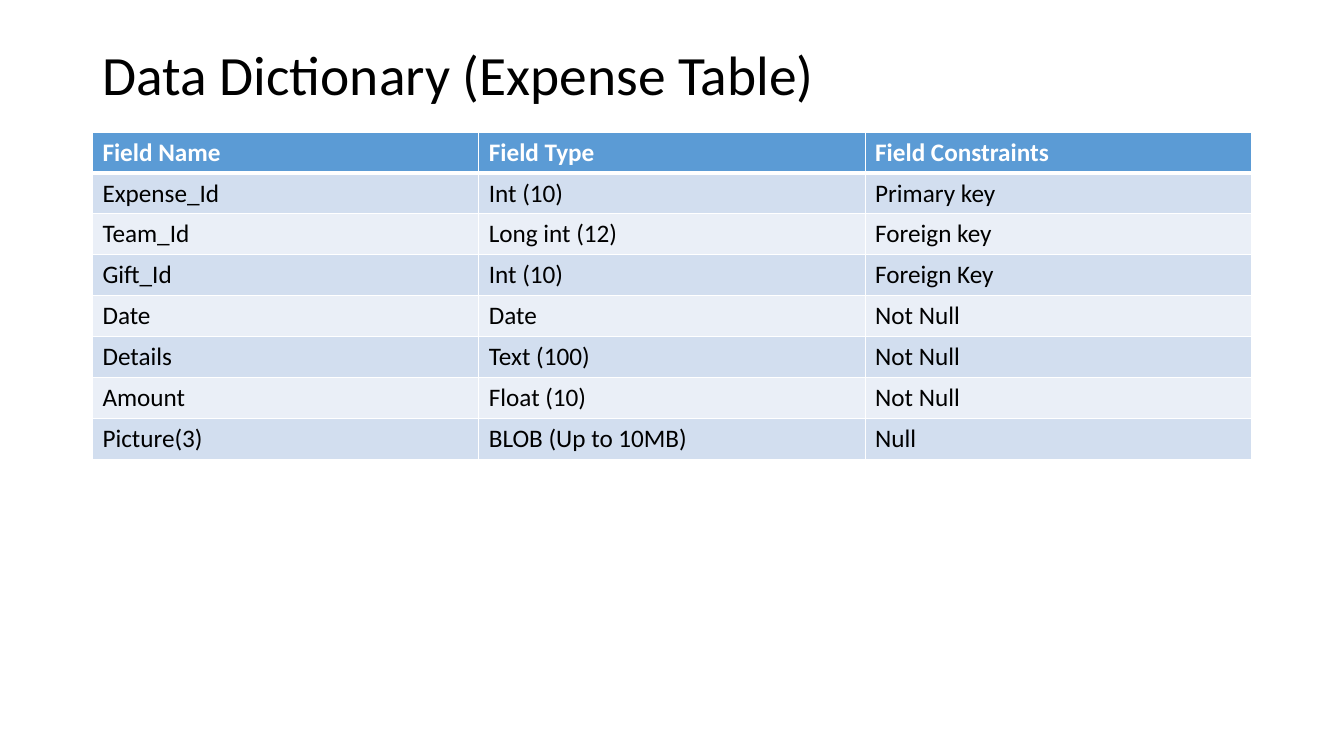
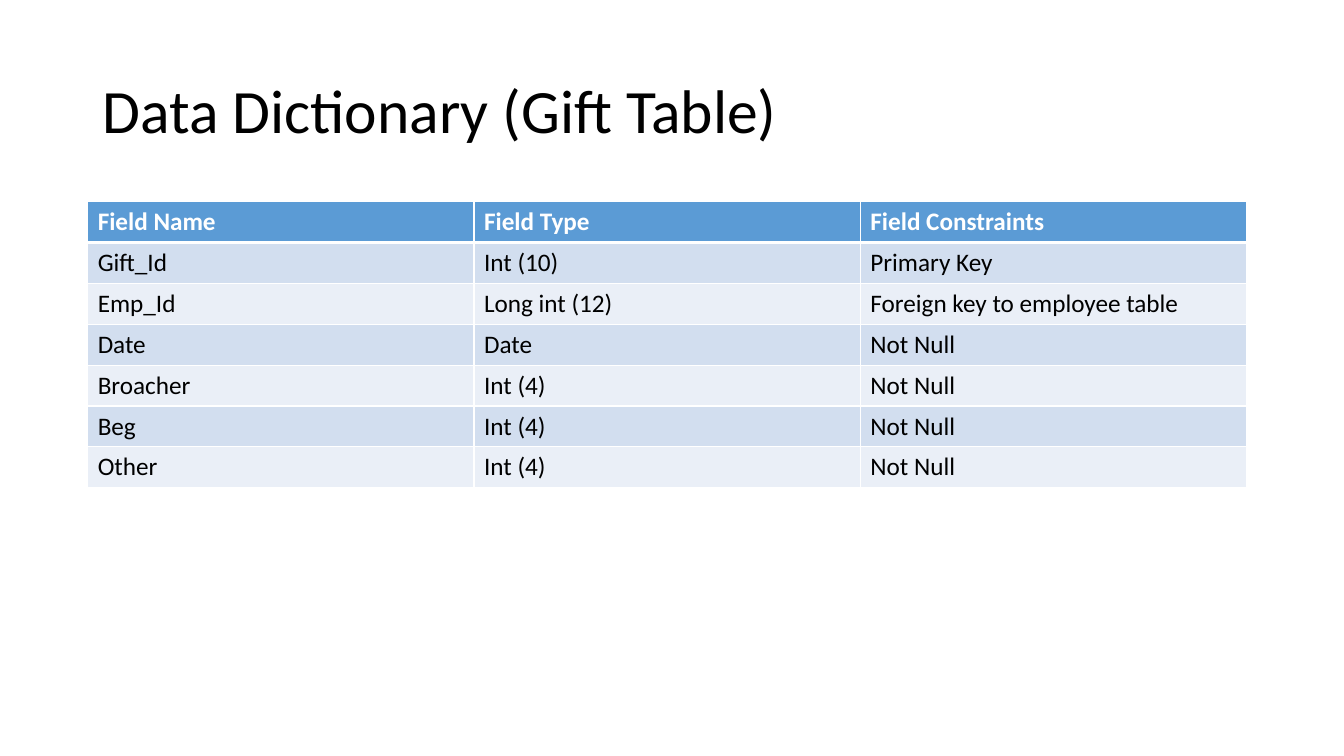
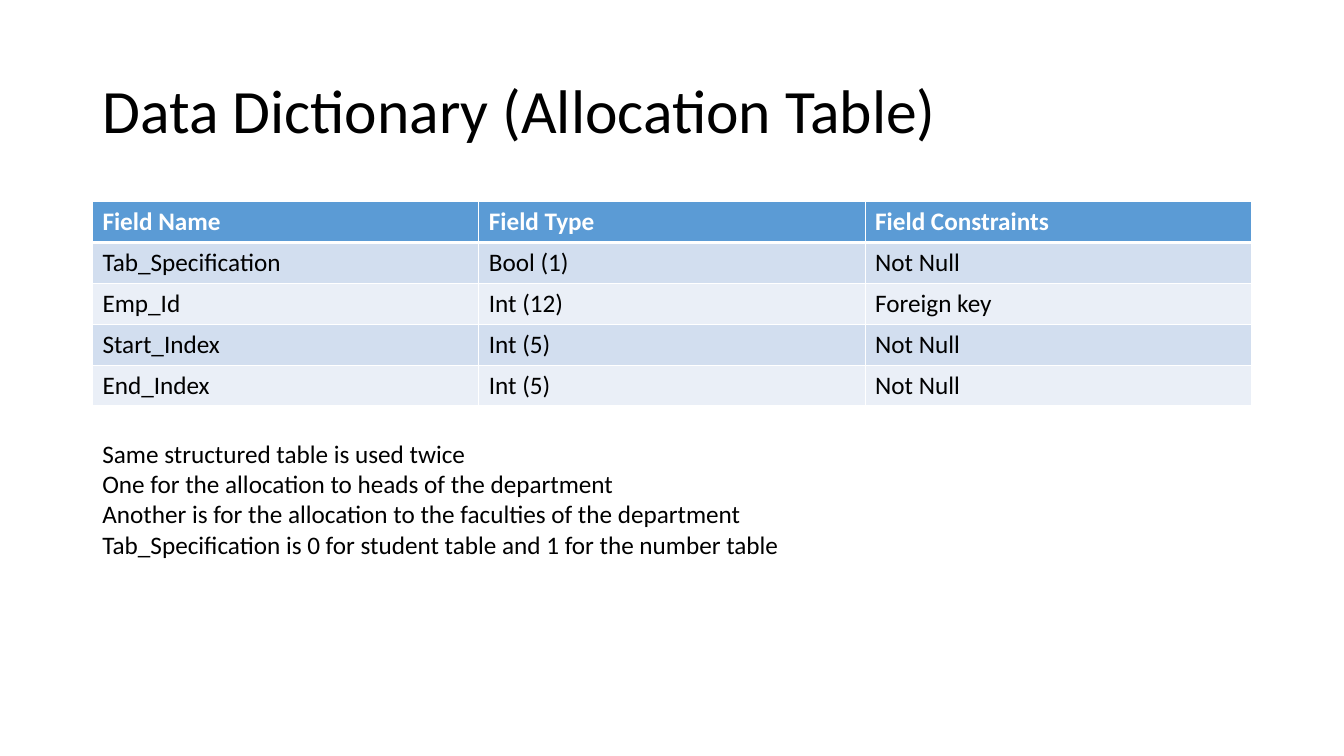
import lxml.etree
import pptx
import pptx.dml.color
import pptx.enum.text
import pptx.oxml.ns
import pptx.util

Cm = pptx.util.Cm
FONT = "Calibri"
BLACK, WHITE, BLUE = "000000", "FFFFFF", "5B9BD5"
BANDS = ("D2DEEF", "EAEFF7")
HEAD = ("Field Name", "Field Type", "Field Constraints")
LEFT, WIDTH, ROW = 2.33, 29.21, 1.03

EXPENSE = (
    ("Expense_Id", "Int (10)", "Primary key"),
    ("Team_Id", "Long int (12)", "Foreign key"),
    ("Gift_Id", "Int (10)", "Foreign Key"),
    ("Date", "Date", "Not Null"),
    ("Details", "Text (100)", "Not Null"),
    ("Amount", "Float (10)", "Not Null"),
    ("Picture(3)", "BLOB (Up to 10MB)", "Null"),
)
GIFT = (
    ("Gift_Id", "Int (10)", "Primary Key"),
    ("Emp_Id", "Long int (12)", "Foreign key to employee table"),
    ("Date", "Date", "Not Null"),
    ("Broacher", "Int (4)", "Not Null"),
    ("Beg", "Int (4)", "Not Null"),
    ("Other", "Int (4)", "Not Null"),
)
ALLOT = (
    ("Tab_Specification", "Bool (1)", "Not Null"),
    ("Emp_Id", "Int (12)", "Foreign key"),
    ("Start_Index", "Int (5)", "Not Null"),
    ("End_Index", "Int (5)", "Not Null"),
)
NOTES = (
    "Same structured table is used twice",
    "One for the allocation to heads of the department",
    "Another is for the allocation to the faculties of the department",
    "Tab_Specification is 0 for student table and 1 for the number table",
)


def paint(target, color):
    """Set a colour from a hex string."""
    target.rgb = pptx.dml.color.RGBColor.from_string(color)


def write(para, text, size=18, color=BLACK, bold=False):
    """Add one styled run to a paragraph."""
    run = para.add_run()
    run.text = text
    run.font.name = FONT
    run.font.size = pptx.util.Pt(size)
    run.font.bold = bold
    paint(run.font.color, color)


def edge(cell, side, points):
    """Draw one white border of a cell."""
    qn = pptx.oxml.ns.qn
    props = cell._tc.get_or_add_tcPr()
    line = lxml.etree.SubElement(props, qn("a:ln" + side), w=str(pptx.util.Pt(points)))
    fill = lxml.etree.SubElement(line, qn("a:solidFill"))
    lxml.etree.SubElement(fill, qn("a:srgbClr"), val=WHITE)


def add_title(slide, text, height=3.68, size=44):
    """Place and format the slide title."""
    title = slide.shapes.title
    title.left, title.top = Cm(LEFT), Cm(1.01)
    title.width, title.height = Cm(WIDTH), Cm(height)
    frame = title.text_frame
    frame.word_wrap = True
    frame.auto_size = pptx.enum.text.MSO_AUTO_SIZE.NONE
    frame.vertical_anchor = pptx.enum.text.MSO_ANCHOR.MIDDLE
    para = frame.paragraphs[0]
    para.alignment = pptx.enum.text.PP_ALIGN.LEFT
    para.line_spacing = 0.9
    write(para, text, size)


def add_grid(slide, fields, left=LEFT, top=5.08):
    """Add a banded table of fields below a header row."""
    rows = (HEAD,) + fields
    table = slide.shapes.add_table(len(rows), len(HEAD), Cm(left), Cm(top),
                                   Cm(WIDTH), Cm(ROW * len(rows))).table
    for i, row in enumerate(rows):
        first = i == 0
        for j, text in enumerate(row):
            cell = table.cell(i, j)
            for side in "LRTB":
                thick = (first and side == "B") or (i == 1 and side == "T")
                edge(cell, side, 3 if thick else 1)
            cell.fill.solid()
            paint(cell.fill.fore_color, BLUE if first else BANDS[(i - 1) % 2])
            write(cell.text_frame.paragraphs[0], text,
                  color=WHITE if first else BLACK, bold=first)


def add_notes(slide, lines):
    """Add a text box with one paragraph per line."""
    frame = slide.shapes.add_textbox(Cm(LEFT), Cm(10.92), Cm(26.09), Cm(3.33)).text_frame
    frame.word_wrap = True
    for i, line in enumerate(lines):
        write(frame.add_paragraph() if i else frame.paragraphs[0], line)


def main():
    """Build and save the presentation."""
    deck = pptx.Presentation()
    deck.slide_width, deck.slide_height = Cm(33.87), Cm(19.05)
    layout = deck.slide_layouts[5]

    slide = deck.slides.add_slide(layout)
    add_title(slide, "Data Dictionary (Expense Table)", height=1.88, size=39.6)
    add_grid(slide, EXPENSE, top=3.33)

    slide = deck.slides.add_slide(layout)
    add_title(slide, "Data Dictionary (Gift Table)")
    add_grid(slide, GIFT, left=2.21)

    slide = deck.slides.add_slide(layout)
    add_title(slide, "Data Dictionary (Allocation Table)")
    add_grid(slide, ALLOT)
    add_notes(slide, NOTES)

    deck.save("out.pptx")


if __name__ == "__main__":
    main()
